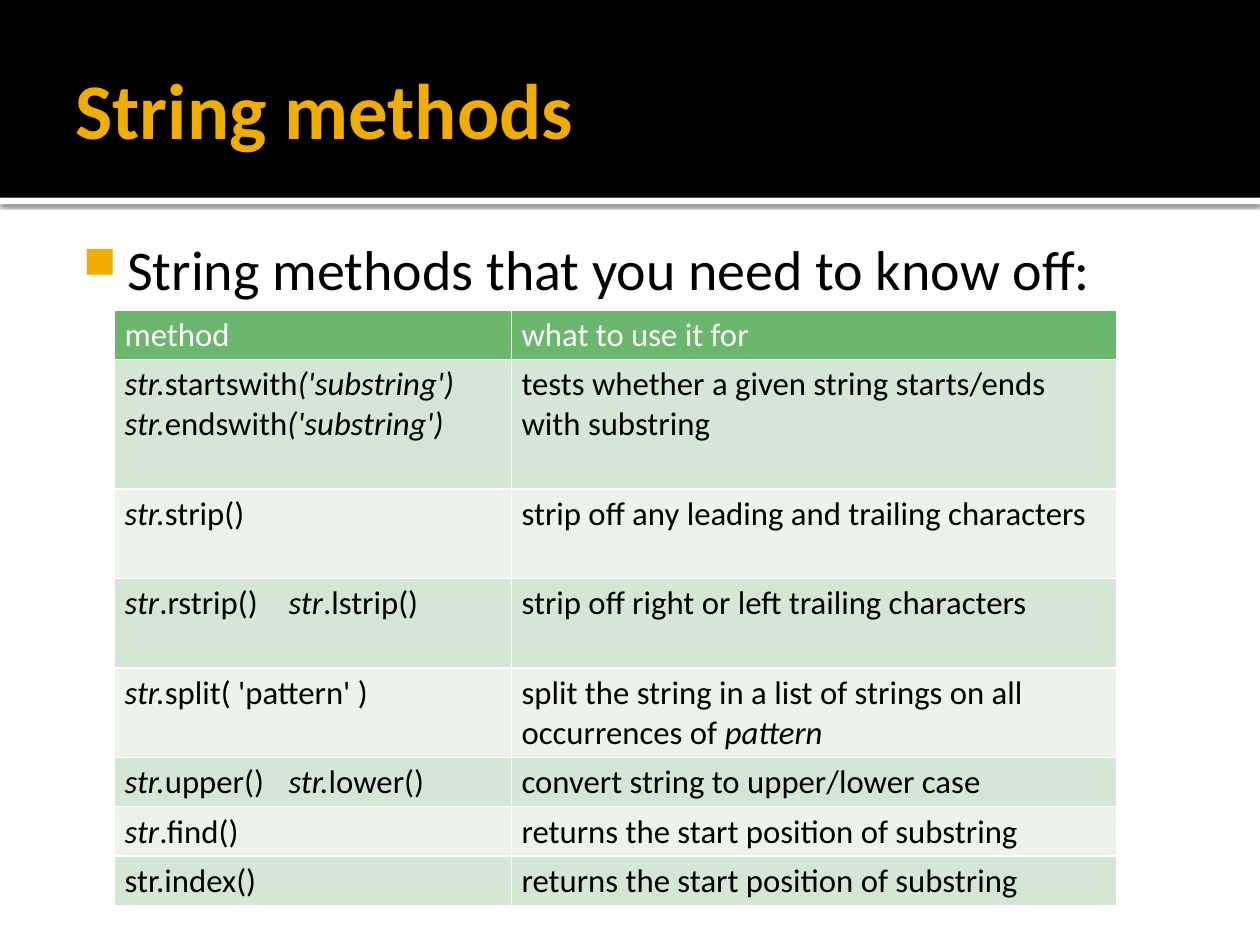
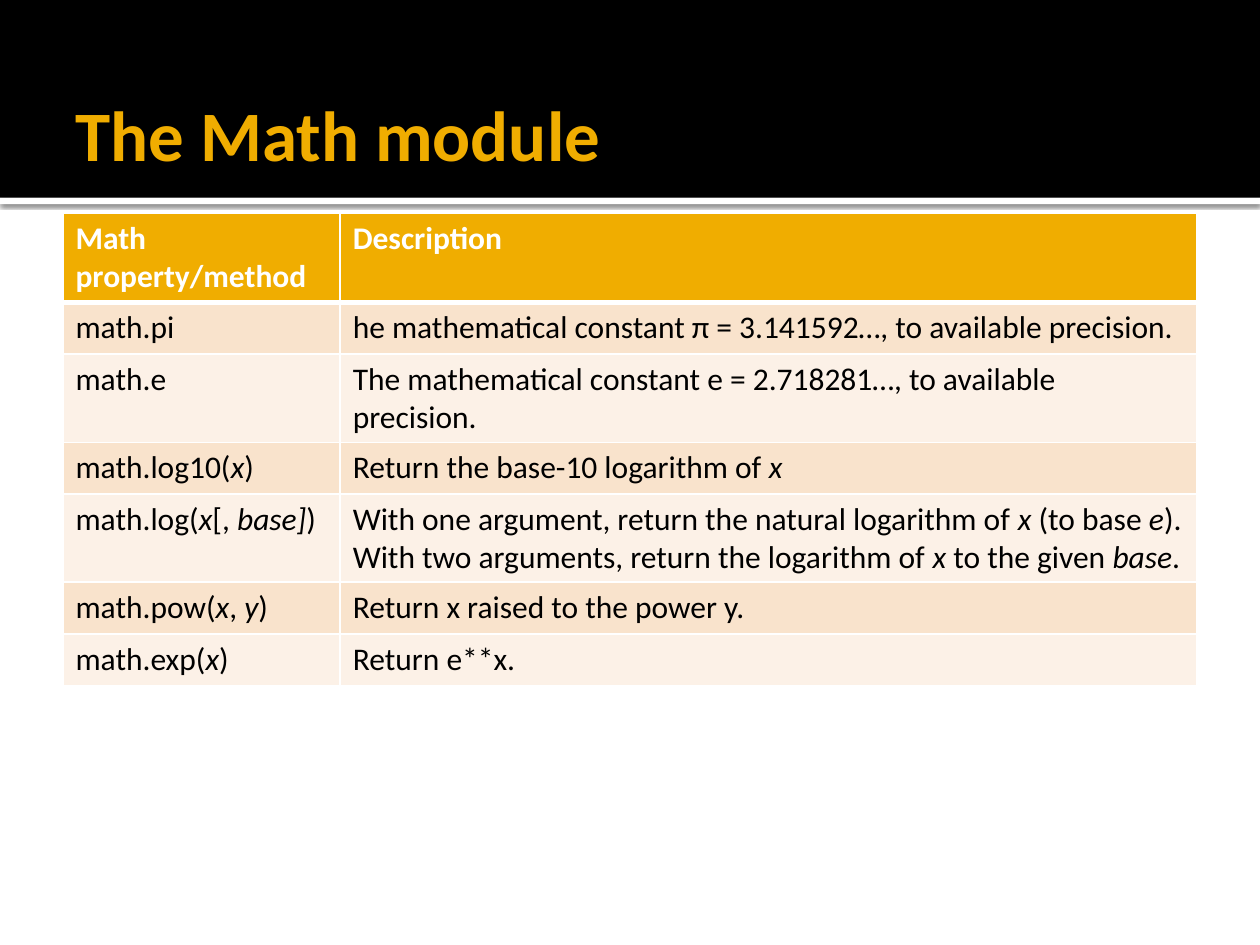
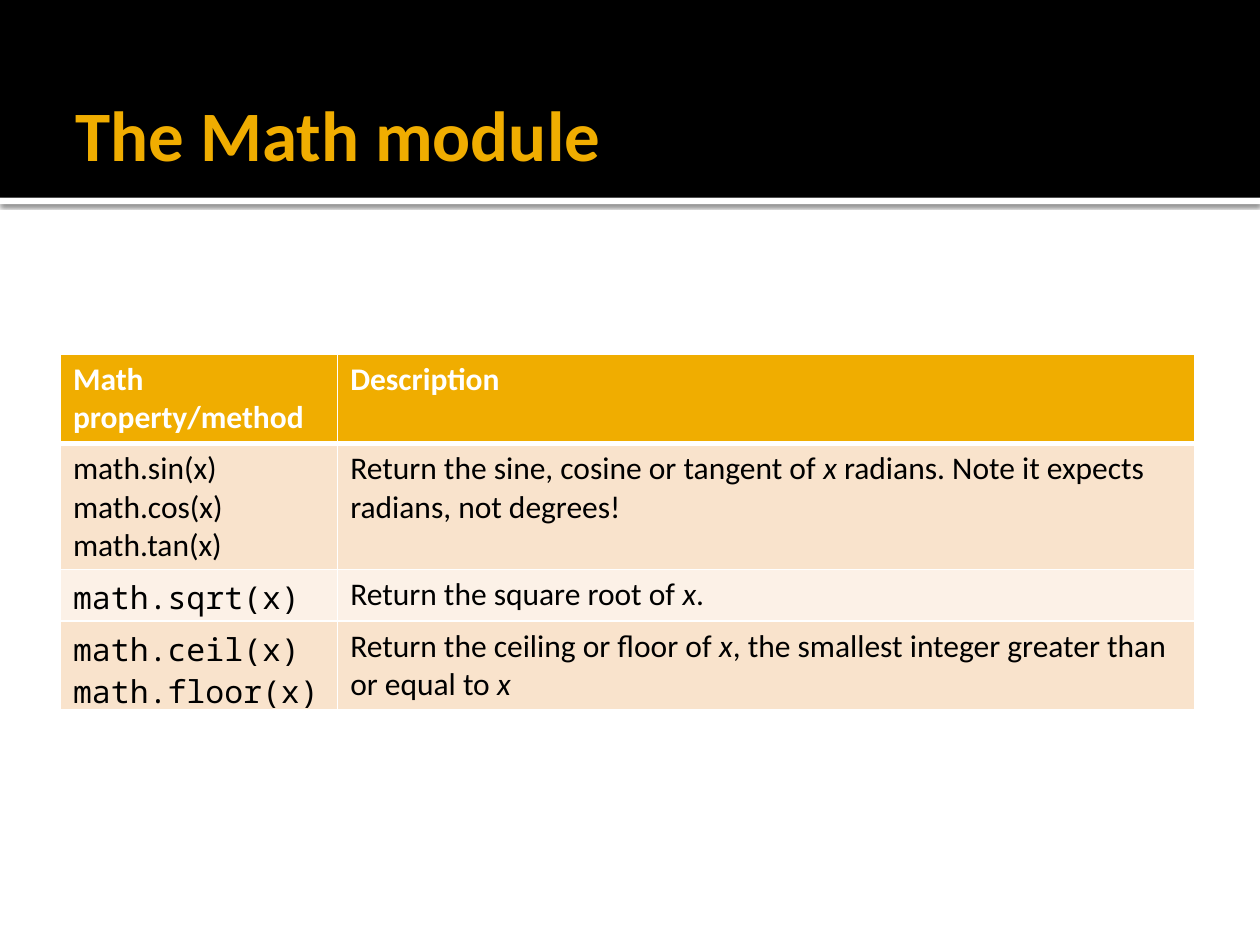
"""Build three slides on Python string methods and the math module."""
from lxml.etree import SubElement
from pptx import Presentation
from pptx.dml.color import RGBColor
from pptx.enum.shapes import MSO_SHAPE as Shape
from pptx.enum.text import MSO_ANCHOR as Anchor
from pptx.oxml import parse_xml
from pptx.oxml.ns import nsdecls, qn
from pptx.util import Inches, Pt

BLACK, WHITE, AMBER, GREEN = "000000", "FFFFFF", "F0AD00", "6BB76D"
FONT, MONO = "Calibri", "Noto Sans Mono"
METHOD_TAB = 1.3


def rgb(value):
    return RGBColor.from_string(value)


def write(paragraph, text, size, color, bold=False, name=FONT):
    font = paragraph.font
    font.name, font.size, font.bold = name, Pt(size), bold
    font.color.rgb = rgb(color)
    for index, part in enumerate(text.split("_")):
        if part:
            run = paragraph.add_run()
            run.text = part
            if index % 2:
                run.font.italic = True


green_style = dict(header=GREEN, bands=("D4E6D4", "EBF3EB"), size=18.7,
                   bold=False, margins=(0.08, 0.04), rule=1)
amber_style = dict(header=AMBER, bands=("F9E3CC", "FCF1E7"), size=18,
                   bold=True, margins=(0.1, 0.05), rule=3)
math_header = ("Math property/method", "Description")

slides = [
    dict(
        title="String methods", title_box=(0.17, 1.37), title_size=45,
        bullet="String methods that you need to know off:",
        place=(0.91, 2.46), columns=(3.15, 4.8), style=green_style,
        heights=(0.39, 1.03, 0.71, 0.71, 0.71, 0.39, 0.39, 0.39),
        rows=[
            ("method", "what to use it for"),
            ("_str._startswith_('substring')_\n_str._endswith_('substring')_",
             "tests whether a given string starts/ends with substring"),
            ("_str._strip()", "strip off any leading and trailing characters"),
            ("_str_.rstrip()\t_str_.lstrip()",
             "strip off right or left trailing characters"),
            ("_str._split( 'pattern' )",
             "split the string in a list of strings on all occurrences of _pattern_"),
            ("_str._upper()\t_str._lower()", "convert string to upper/lower case"),
            ("_str_.find()", "returns the start position of substring"),
            ("str.index()", "returns the start position of substring"),
        ]),
    dict(
        title="The Math module", title_box=(0.7, 0.71), title_size=40.5,
        place=(0.5, 1.69), columns=(2.2, 6.8), style=amber_style,
        heights=(0.71,) + (0.41,) * 6,
        rows=[
            math_header,
            ("math.pi",
             "he mathematical constant π = 3.141592…, to available precision."),
            ("math.e",
             "The mathematical constant e = 2.718281…, to available precision."),
            ("math.log10(_x_)", "Return the base-10 logarithm of _x_"),
            ("math.log(_x_[, _base]_)",
             "With one argument, return the natural logarithm of _x_ (to base _e_).\n"
             "With two arguments, return the logarithm of _x_ to the given _base_."),
            ("math.pow(_x_, _y_)", "Return x raised to the power y."),
            ("math.exp(_x_)", "Return e**x."),
        ]),
    dict(
        title="The Math module", title_box=(0.7, 0.71), title_size=40.5,
        place=(0.48, 2.81), columns=(2.2, 6.8), style=amber_style,
        heights=(0.71,) + (0.41,) * 3, mono_rows=(2, 3),
        rows=[
            math_header,
            ("math.sin(x)\nmath.cos(x)\nmath.tan(x)",
             "Return the sine, cosine or tangent of _x_ radians. "
             "Note it expects radians, not degrees!"),
            ("math.sqrt(x)", "Return the square root of _x_."),
            ("math.ceil(x)\nmath.floor(x)",
             "Return the ceiling or floor of _x_, the smallest integer "
             "greater than or equal to _x_"),
        ]),
]

presentation = Presentation()
presentation.slide_width, presentation.slide_height = Inches(10), Inches(7.5)

for content in slides:
    slide = presentation.slides.add_slide(presentation.slide_layouts[6])

    for top, height, color in ((1.57, 0.05, WHITE), (0, 1.57, BLACK)):
        band = slide.shapes.add_shape(
            Shape.RECTANGLE, 0, Inches(top), Inches(10), Inches(height))
        band.shadow.inherit = False
        band.fill.solid()
        band.fill.fore_color.rgb = rgb(color)
        band.line.fill.background()
        if color == WHITE:
            effects = band._element.spPr.find(qn("a:effectLst"))
            effects.append(parse_xml(
                f'<a:outerShdw {nsdecls("a")} blurRad="{Pt(2.5)}" dist="{Pt(0.8)}" '
                f'dir="5400000"><a:srgbClr val="{BLACK}"><a:alpha val="60000"/>'
                '</a:srgbClr></a:outerShdw>'))

    top, height = content["title_box"]
    title = slide.shapes.add_textbox(
        Inches(0.5), Inches(top), Inches(9), Inches(height))
    frame = title.text_frame
    frame.word_wrap = True
    frame.vertical_anchor = Anchor.MIDDLE
    frame.margin_right = Inches(0.05)
    write(frame.paragraphs[0], content["title"], content["title_size"], AMBER, True)

    rows, columns, style = content["rows"], content["columns"], content["style"]
    left, top = content["place"]
    table = slide.shapes.add_table(
        len(rows), len(columns), Inches(left), Inches(top),
        Inches(sum(columns)), Inches(sum(content["heights"]))).table
    table.first_row = table.horz_banding = False
    for column, width in zip(table.columns, columns):
        column.width = Inches(width)

    for row_index, texts in enumerate(rows):
        table.rows[row_index].height = Inches(content["heights"][row_index])
        is_header = row_index == 0
        fill = style["header"] if is_header else style["bands"][(row_index - 1) % 2]
        for column_index, text in enumerate(texts):
            cell = table.cell(row_index, column_index)
            side, edge = style["margins"]
            cell.margin_left = cell.margin_right = Inches(side)
            cell.margin_top = cell.margin_bottom = Inches(edge)
            properties = cell._tc.get_or_add_tcPr()
            for border in ("lnL", "lnR", "lnT", "lnB"):
                thick = (is_header and border == "lnB") or (
                    row_index == 1 and border == "lnT")
                properties.append(parse_xml(
                    f'<a:{border} {nsdecls("a")} w="{Pt(style["rule"] if thick else 1)}">'
                    f'<a:solidFill><a:srgbClr val="{WHITE}"/></a:solidFill></a:{border}>'))
            cell.fill.solid()
            cell.fill.fore_color.rgb = rgb(fill)

            is_mono = column_index == 0 and row_index in content.get("mono_rows", ())
            for line_index, line in enumerate(text.split("\n")):
                frame = cell.text_frame
                paragraph = frame.add_paragraph() if line_index else frame.paragraphs[0]
                if "\t" in line:
                    tabs = SubElement(paragraph._p.get_or_add_pPr(), qn("a:tabLst"))
                    SubElement(tabs, qn("a:tab"), pos=str(Inches(METHOD_TAB)), algn="l")
                write(paragraph, line, style["size"], WHITE if is_header else BLACK,
                      is_header and style["bold"], MONO if is_mono else FONT)

    if "bullet" in content:
        body = slide.shapes.add_textbox(
            Inches(0.47), Inches(1.76), Inches(9), Inches(0.7))
        frame = body.text_frame
        frame.word_wrap = True
        frame.margin_left, frame.margin_top = Inches(0.06), Inches(0.1)
        paragraph = frame.paragraphs[0]
        properties = paragraph._p.get_or_add_pPr()
        properties.set("marL", str(Inches(0.48)))
        properties.set("indent", str(Inches(-0.35)))
        bullet_color = SubElement(properties, qn("a:buClr"))
        SubElement(bullet_color, qn("a:srgbClr"), val=AMBER)
        SubElement(properties, qn("a:buSzPct"), val="80000")
        SubElement(properties, qn("a:buChar"), char="■")
        write(paragraph, content["bullet"], 32, BLACK)

presentation.save("out.pptx")
